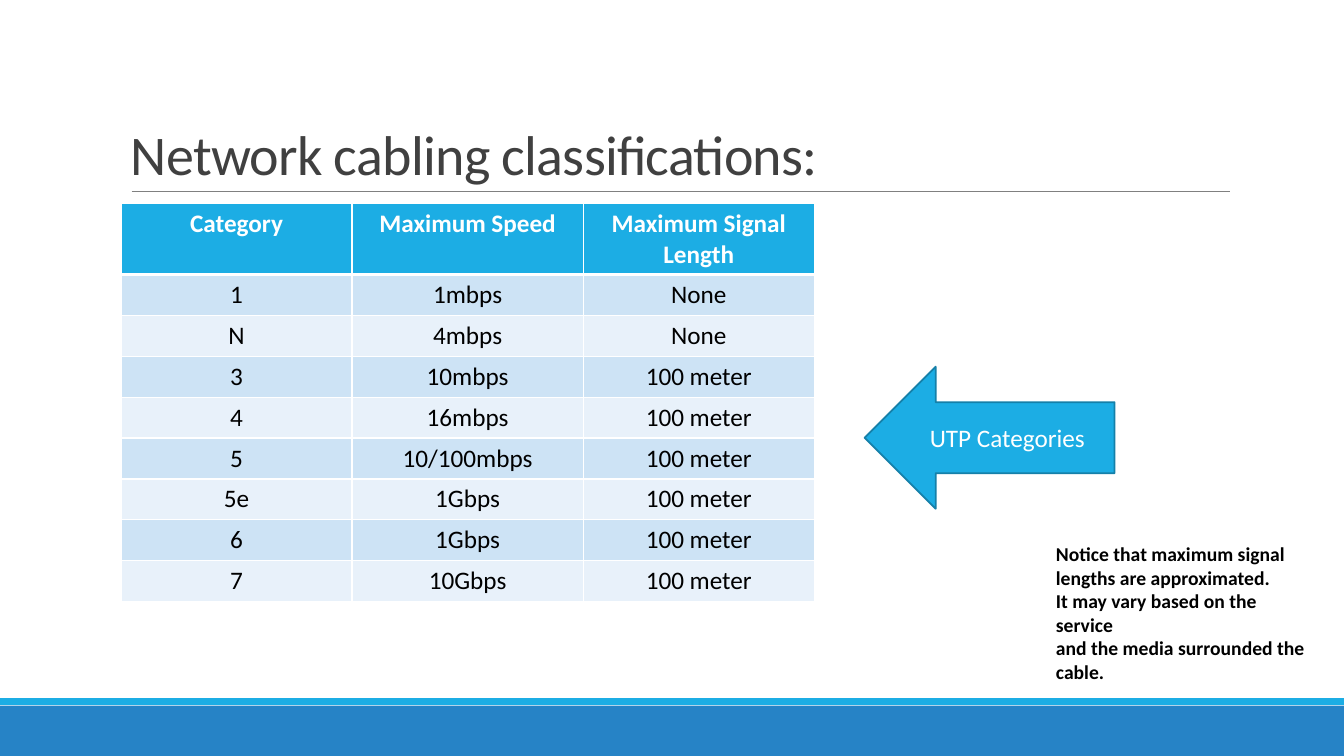
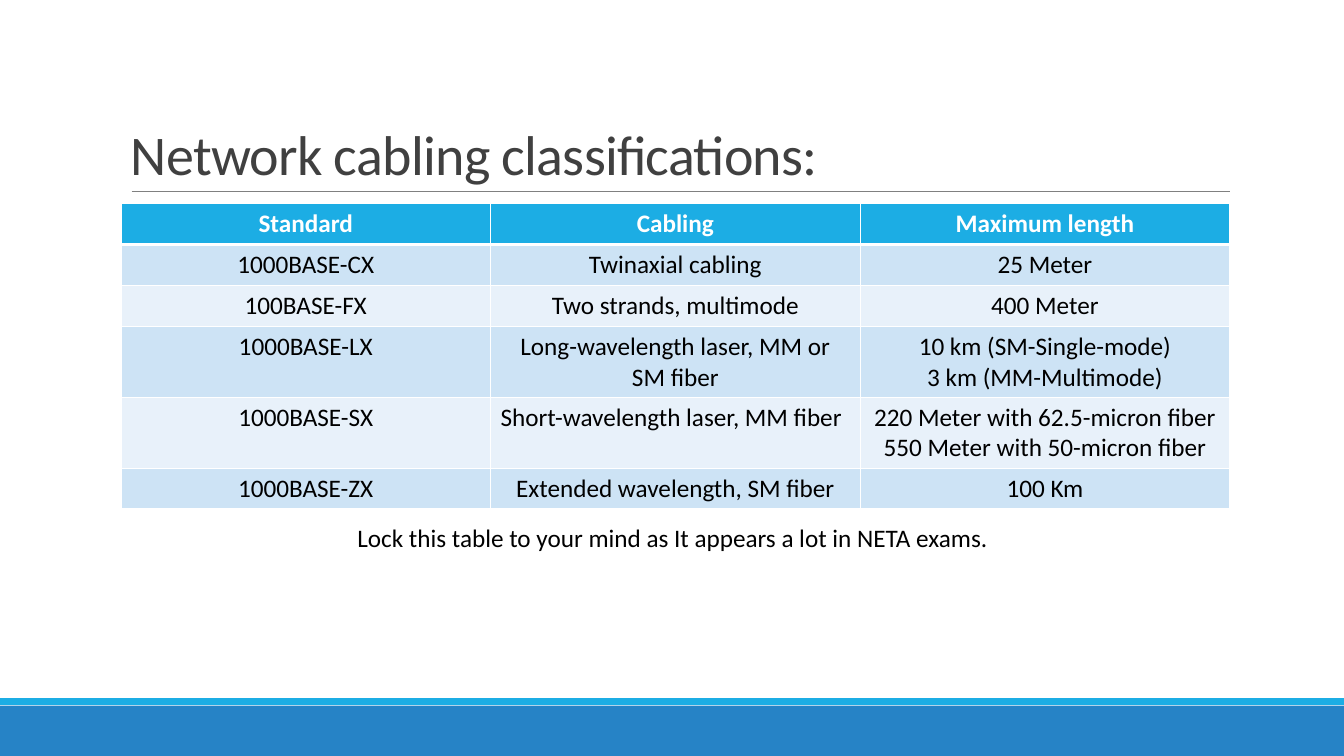
from dataclasses import dataclass

from lxml import etree
from pptx import Presentation
from pptx import util as u
from pptx.dml.color import RGBColor
from pptx.enum import shapes, text
from pptx.oxml import ns

WIDE, HIGH = 13.333, 7.5
FACE = "Calibri"
WHITE, BLACK, GREY, RULE = "FFFFFF", "000000", "404040", "808080"
BLUE, SKY, EDGE = "2683C6", "1CADE4", "1580A9"
BANDS = ("CDE3F5", "E8F1FA")
LEFT, TOP = 9, 26.93
ROW, EXTRA = 5.41, 3.98
MID = text.PP_ALIGN.CENTER
HEAD = "Network cabling classifications:"


@dataclass(frozen=True)
class Box:
    """Left, top, width and height in percent of the slide."""
    x: float
    y: float
    w: float
    h: float

    def spots(self) -> tuple:
        return across(self.x), down(self.y), across(self.w), down(self.h)


@dataclass(frozen=True)
class Band:
    box: Box
    fill: str


@dataclass(frozen=True)
class Grid:
    width: float
    rows: tuple
    tall: tuple = ()
    flush: tuple = ()


STRIPES = (
    Band(Box(0, 93.33, 100, 6.67), BLUE),
    Band(Box(0, 92.33, 100, 0.9), SKY),
)

SPEEDS = Grid(51.6, (
    ("Category", "Maximum Speed", "Maximum Signal Length"),
    ("1", "1mbps", "None"),
    ("N", "4mbps", "None"),
    ("3", "10mbps", "100 meter"),
    ("4", "16mbps", "100 meter"),
    ("5", "10/100mbps", "100 meter"),
    ("5e", "1Gbps", "100 meter"),
    ("6", "1Gbps", "100 meter"),
    ("7", "10Gbps", "100 meter"),
), tall=(0,))

FIBERS = Grid(82.5, (
    ("Standard", "Cabling", "Maximum length"),
    ("1000BASE-CX", "Twinaxial cabling", "25 Meter"),
    ("100BASE-FX", "Two strands, multimode", "400 Meter"),
    ("1000BASE-LX", "Long-wavelength laser, MM or\nSM fiber",
     "10 km (SM-Single-mode)\n3 km (MM-Multimode)"),
    ("1000BASE-SX", "Short-wavelength laser, MM fiber",
     "220 Meter with 62.5-micron fiber 550 Meter with 50-micron fiber"),
    ("1000BASE-ZX", "Extended wavelength, SM fiber", "100 Km"),
), tall=(3, 4), flush=((4, 1),))

NOTE = """Notice that maximum signal
lengths are approximated.
It may vary based on the service
and the media surrounded the
cable."""


def across(share: float) -> int:
    return u.Inches(WIDE * share / 100)


def down(share: float) -> int:
    return u.Inches(HIGH * share / 100)


def tint(code: str) -> RGBColor:
    return RGBColor.from_string(code)


def write(frame, words: str, *, size: float = 18, ink: str = BLACK,
          bold: bool = False, align=None, lead: float | None = None,
          track: int | None = None) -> None:
    frame.text = words
    for para in frame.paragraphs:
        para.alignment = align
        para.line_spacing = lead
        for run in para.runs:
            font = run.font
            font.name, font.size, font.bold = FACE, u.Pt(size), bold
            font.color.rgb = tint(ink)
            if track is not None:
                run._r.get_or_add_rPr().set("spc", str(track))


def label(slide, box: Box, words: str, *, wrap: bool = True,
          anchor=text.MSO_ANCHOR.TOP, **style) -> None:
    frame = slide.shapes.add_textbox(*box.spots()).text_frame
    frame.word_wrap = wrap
    frame.vertical_anchor = anchor
    write(frame, words, **style)


def block(slide, kind, box: Box, fill: str, edge: str | None = None):
    shape = slide.shapes.add_shape(kind, *box.spots())
    shape.shadow.inherit = False
    shape.fill.solid()
    shape.fill.fore_color.rgb = tint(fill)
    if edge:
        shape.line.color.rgb = tint(edge)
        shape.line.width = u.Pt(1.25)
    else:
        shape.line.fill.background()
    return shape


def rule(slide, x: float, end: float, y: float) -> None:
    line = slide.shapes.add_connector(
        shapes.MSO_CONNECTOR.STRAIGHT, across(x), down(y), across(end), down(y))
    line.line.color.rgb = tint(RULE)
    line.line.width = u.Pt(0.5)
    etree.SubElement(line._element.spPr, ns.qn("a:effectLst"))


def border(cell, row: int) -> None:
    props = cell._tc.get_or_add_tcPr()
    thick = {"lnT": row == 1, "lnB": row == 0}
    for side in ("lnL", "lnR", "lnT", "lnB"):
        width = u.Pt(3 if thick.get(side) else 1)
        line = etree.SubElement(props, ns.qn(f"a:{side}"), w=str(width))
        solid = etree.SubElement(line, ns.qn("a:solidFill"))
        etree.SubElement(solid, ns.qn("a:srgbClr"), val=WHITE)


def chart(slide, grid: Grid) -> None:
    highs = [ROW + EXTRA * (i in grid.tall) for i in range(len(grid.rows))]
    count = len(grid.rows[0])
    box = Box(LEFT, TOP, grid.width, sum(highs))
    table = slide.shapes.add_table(len(highs), count, *box.spots()).table
    for col in table.columns:
        col.width = across(grid.width / count)
    for i, (words, high) in enumerate(zip(grid.rows, highs)):
        table.rows[i].height = down(high)
        top = i == 0
        for j, word in enumerate(words):
            cell = table.cell(i, j)
            border(cell, i)
            cell.fill.solid()
            cell.fill.fore_color.rgb = tint(SKY if top else BANDS[(i - 1) % 2])
            write(cell.text_frame, word, ink=WHITE if top else BLACK, bold=top,
                  align=None if (i, j) in grid.flush else MID)


def start(deck):
    slide = deck.slides.add_slide(deck.slide_layouts[6])
    for band in STRIPES:
        block(slide, shapes.MSO_SHAPE.RECTANGLE, band.box, band.fill)
    rule(slide, 9.8, 91.55, 25.33)
    label(slide, Box(LEFT, 4.13, 82.5, 21.2), HEAD, size=40, ink=GREY,
          anchor=text.MSO_ANCHOR.BOTTOM, lead=0.85, track=-50)
    return slide


def main() -> None:
    deck = Presentation()
    deck.slide_width, deck.slide_height = u.Inches(WIDE), u.Inches(HIGH)

    slide = start(deck)
    chart(slide, SPEEDS)
    label(slide, Box(77.83, 71.07, 20.7, 20.13), NOTE, size=14, bold=True)
    arrow = block(slide, shapes.MSO_SHAPE.LEFT_ARROW,
                  Box(64.33, 48.5, 18.6, 18.8), SKY, EDGE)
    arrow.text_frame.word_wrap = True
    arrow.text_frame.vertical_anchor = text.MSO_ANCHOR.MIDDLE
    write(arrow.text_frame, "UTP Categories", ink=WHITE, align=MID)

    slide = start(deck)
    chart(slide, FIBERS)
    label(slide, Box(25.85, 68.4, 48.8, 5.33),
          "Lock this table to your mind as It appears a lot in NETA exams.",
          wrap=False)

    deck.save("out.pptx")


if __name__ == "__main__":
    main()
